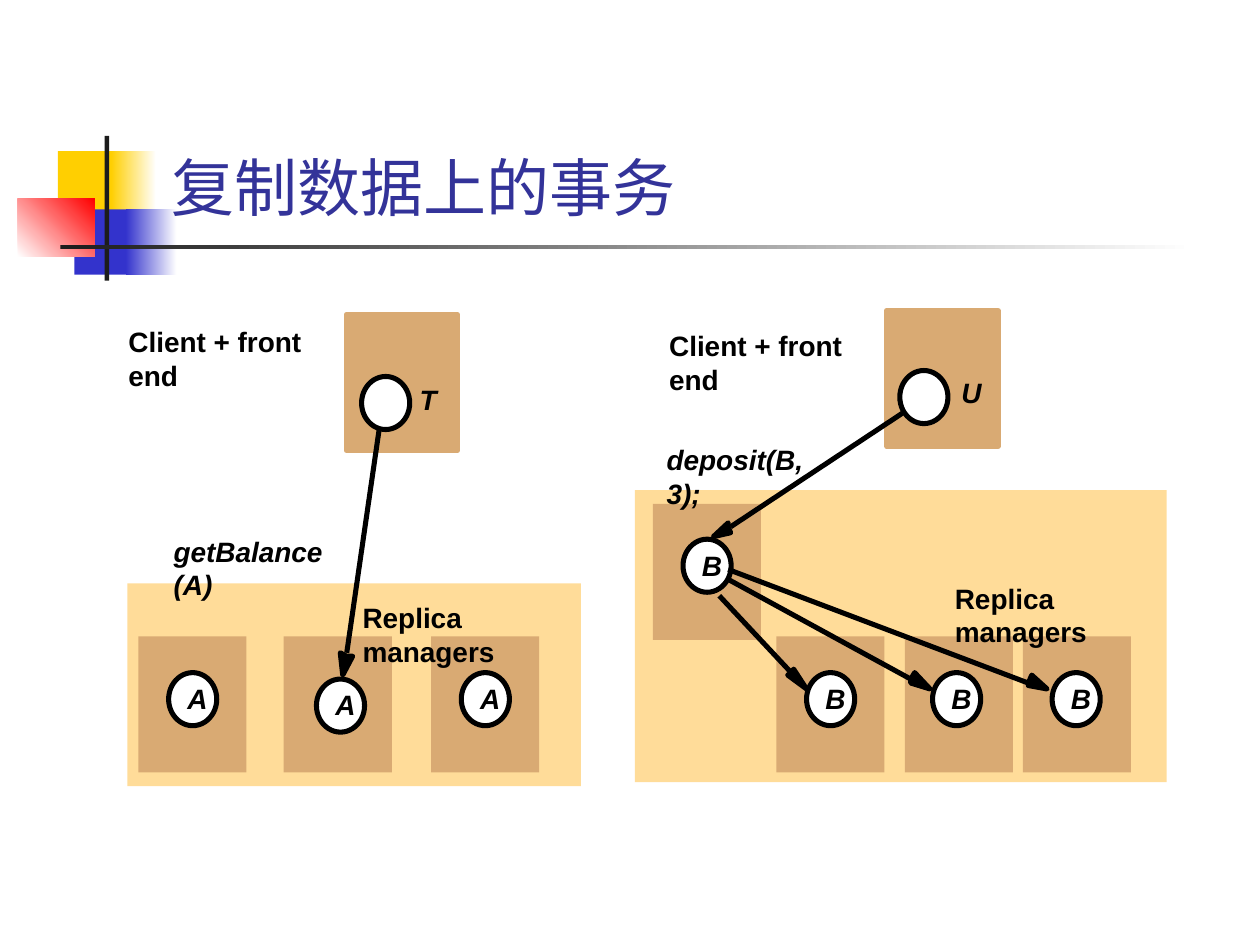
from typing import NamedTuple

from lxml.etree import SubElement
from pptx import Presentation
from pptx.dml.color import RGBColor
from pptx.enum.shapes import MSO_CONNECTOR as Link, MSO_SHAPE as Kind
from pptx.enum.text import MSO_ANCHOR as Anchor
from pptx.oxml.ns import qn
from pptx.util import Cm, Pt

BLACK, WHITE, BROWN, SAND = "000000", "FFFFFF", "D9AA73", "FFDC99"
YELLOW, BLUE, RED, DARK = "FFCF01", "3333CC", "FF0000", "1C1C1C"
STROKE = 2.88


class Bar(NamedTuple):
    left: float
    top: float
    width: float
    height: float
    fill: str
    end: str = ""
    angle: int = 0


class Client(NamedTuple):
    name: str
    left: float
    top: float
    ring: tuple[float, float]
    label: tuple[float, float]
    note: float


class Manager(NamedTuple):
    item: str
    left: float
    top: float
    ring: tuple[float, float]


class Label(NamedTuple):
    text: str
    left: float
    top: float
    width: float
    italic: bool


class Arrow(NamedTuple):
    start: tuple[float, float]
    end: tuple[float, float]
    head: list[tuple[float, float]]


BARS = [
    Bar(1.17, 3.05, 1.22, 1.32, YELLOW),
    Bar(2.24, 3.05, 0.91, 1.32, YELLOW, WHITE),
    Bar(1.5, 4.22, 1.17, 1.32, BLUE),
    Bar(2.54, 4.22, 1.02, 1.32, BLUE, WHITE),
    Bar(0.36, 4.01, 1.55, 1.17, WHITE, RED, 45),
    Bar(2.11, 2.74, 0.09, 2.92, DARK),
    Bar(1.22, 4.94, 22.86, 0.09, DARK, WHITE),
    Bar(12.8, 9.88, 10.72, 5.89, SAND),
    Bar(2.57, 11.76, 9.14, 4.09, SAND),
]
CLIENTS = [
    Client("T", 7.01, 6.38, (0.28, 1.21), (1.45, 1.34), 0.17),
    Client("U", 17.91, 6.3, (0.23, 1.17), (1.47, 1.27), 0.33),
]
ROW = 12.83
MANAGERS = [
    Manager("A", 2.79, ROW, (0.61, 0.73)),
    Manager("A", 5.72, ROW, (0.66, 0.86)),
    Manager("A", 8.69, ROW, (0.61, 0.73)),
    Manager("B", 13.16, 10.16, (0.61, 0.71)),
    Manager("B", 15.65, ROW, (0.61, 0.73)),
    Manager("B", 18.24, ROW, (0.56, 0.73)),
    Manager("B", 20.62, ROW, (0.59, 0.73)),
]
LABELS = [
    Label("getBalance(A)", 3.5, 10.77, 3.1, True),
    Label("deposit(B,3);", 13.44, 8.92, 2.78, True),
    Label("Replica managers", 7.31, 12.11, 3.96, False),
    Label("Replica managers", 19.25, 11.72, 3.96, False),
]
ARROWS = [
    Arrow((7.65, 8.61), (6.99, 13.16),
          [(6.99, 13.23), (7.11, 13.23), (6.91, 13.61), (6.86, 13.16)]),
    Arrow((18.19, 8.33), (14.73, 10.62),
          [(14.68, 10.62), (14.73, 10.74), (14.38, 10.82), (14.68, 10.54)]),
    Arrow((14.68, 11.48), (20.73, 13.77),
          [(20.73, 13.77), (20.8, 13.61), (21.11, 13.89), (20.73, 13.82)]),
    Arrow((14.68, 11.68), (18.36, 13.69),
          [(18.36, 13.69), (18.44, 13.56), (18.75, 13.89), (18.36, 13.77)]),
    Arrow((14.5, 12.01), (15.95, 13.56),
          [(15.95, 13.56), (16, 13.49), (16.26, 13.89), (15.88, 13.61)]),
]


def tint(code: str) -> RGBColor:
    return RGBColor.from_string(code)


def paint(shape, fill: str = "", line: str = "") -> None:
    """Set fill and outline; an empty colour means none."""
    shape.shadow.inherit = False
    if fill:
        shape.fill.solid()
        shape.fill.fore_color.rgb = tint(fill)
    else:
        shape.fill.background()
    if line:
        shape.line.color.rgb = tint(line)
        shape.line.width = Pt(STROKE)
    else:
        shape.line.fill.background()


def add_shape(slide, kind, left: float, top: float, width: float,
              height: float, fill: str = "", line: str = ""):
    shape = slide.shapes.add_shape(
        kind, Cm(left), Cm(top), Cm(width), Cm(height))
    paint(shape, fill, line)
    return shape


def add_text(slide, text: str, left: float, top: float, width: float,
             height: float = 0.66, *, size: int = 16, font: str = "Arial",
             color: str = BLACK, bold: bool = True, italic: bool = False,
             anchor=Anchor.TOP, pad: tuple[float, float] = (0, 0)) -> None:
    box = slide.shapes.add_textbox(Cm(left), Cm(top), Cm(width), Cm(height))
    frame = box.text_frame
    frame.word_wrap = True
    frame.vertical_anchor = anchor
    frame.margin_left = frame.margin_right = Cm(pad[0])
    frame.margin_top = frame.margin_bottom = Cm(pad[1])
    run = frame.paragraphs[0].add_run()
    run.text = text
    style = run.font
    style.size, style.name = Pt(size), font
    style.bold, style.italic = bold, italic
    style.color.rgb = tint(color)


def add_bar(slide, bar: Bar) -> None:
    shape = add_shape(slide, Kind.RECTANGLE, *bar[:5])
    if bar.end:
        shape.fill.gradient()
        shape.fill.gradient_angle = bar.angle
        for stop, code in zip(shape.fill.gradient_stops, (bar.fill, bar.end)):
            stop.color.rgb = tint(code)


def add_ring(slide, left: float, top: float) -> None:
    add_shape(slide, Kind.OVAL, left, top, 0.97, 1.07, WHITE, BLACK)


def add_client(slide, client: Client) -> None:
    left, top = client.left, client.top
    add_shape(slide, Kind.RECTANGLE, left, top, 2.18, 2.67, BROWN)
    add_shape(slide, Kind.RECTANGLE, left - 0.03, top - 0.04, 2.24, 2.74,
              line=BROWN)
    add_ring(slide, left + client.ring[0], top + client.ring[1])
    add_text(slide, client.name, left + client.label[0],
             top + client.label[1], 0.35, italic=True)
    add_text(slide, "Client + front end", left - 4.42, top + client.note, 3.73)


def add_manager(slide, man: Manager) -> None:
    add_shape(slide, Kind.RECTANGLE, man.left, man.top, 2.18, 2.74, BROWN)
    left, top = man.left + man.ring[0], man.top + man.ring[1]
    add_ring(slide, left, top)
    add_text(slide, man.item, left + 0.38, top + 0.18, 0.33, italic=True)


def add_arrow(slide, arrow: Arrow) -> None:
    first, *rest = [(Cm(x), Cm(y)) for x, y in arrow.head]
    pen = slide.shapes.build_freeform(*first)
    pen.add_line_segments(rest, close=True)
    paint(pen.convert_to_shape(), BLACK, BLACK)
    ends = [Cm(n) for n in arrow.start + arrow.end]
    line = slide.shapes.add_connector(Link.STRAIGHT, *ends)
    line.line.color.rgb = tint(BLACK)
    line.line.width = Pt(STROKE)
    SubElement(line._element.spPr, qn("a:effectLst"))


def main() -> None:
    deck = Presentation()
    deck.slide_width, deck.slide_height = Cm(25.4), Cm(19.05)
    slide = deck.slides.add_slide(deck.slide_layouts[6])
    for bar in BARS:
        add_bar(slide, bar)
    add_text(slide, "复制数据上的事务", 3.2, 0.58, 21.64, 4.06, size=36,
             font="Lato", color="333399", bold=False, anchor=Anchor.BOTTOM,
             pad=(0.25, 0.13))
    for man in MANAGERS:
        add_manager(slide, man)
    for client in CLIENTS:
        add_client(slide, client)
    for label in LABELS:
        add_text(slide, *label[:4], italic=label.italic)
    for arrow in ARROWS:
        add_arrow(slide, arrow)
    deck.save("out.pptx")


if __name__ == "__main__":
    main()
